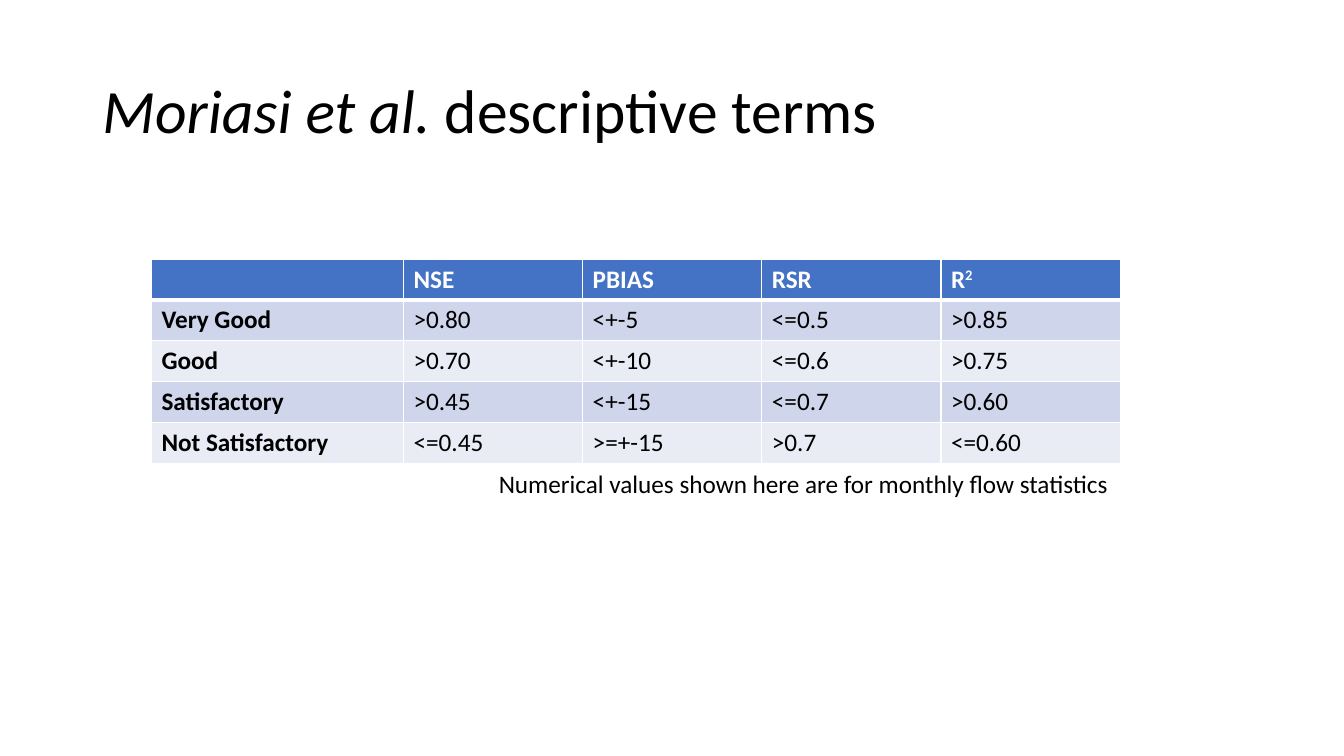
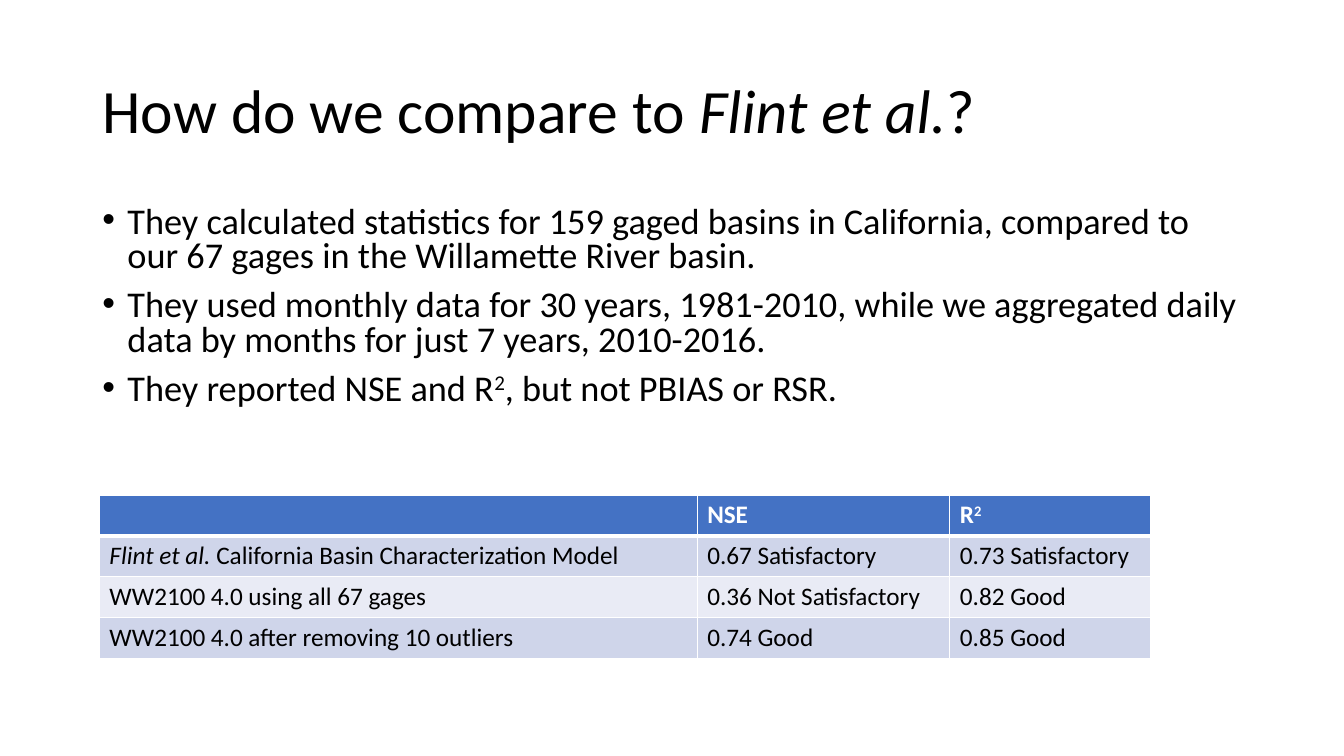
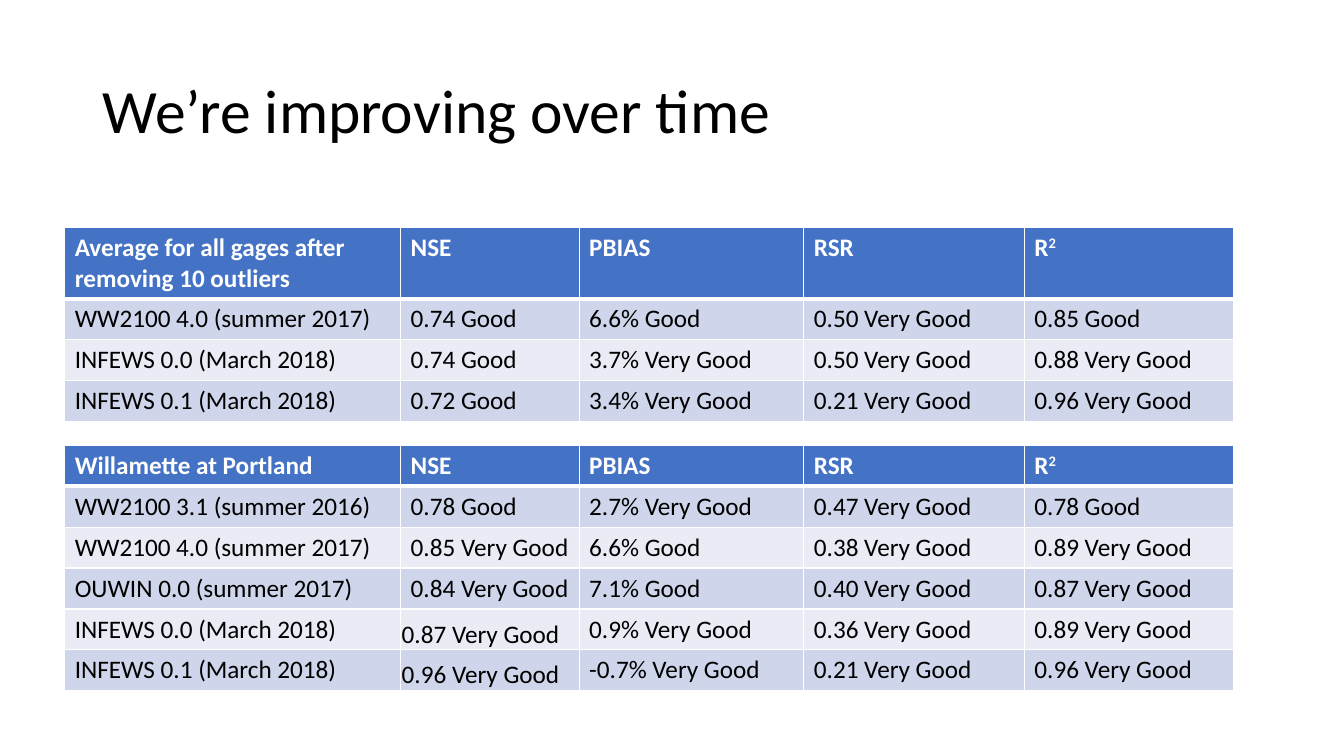
from lxml.etree import SubElement as Sub
from pptx import Presentation
from pptx.dml.color import RGBColor as RGB
from pptx.enum.text import MSO_ANCHOR as Anchor, MSO_AUTO_SIZE as Fit, PP_ALIGN as Align
from pptx.oxml.ns import qn
from pptx.util import Pt

BLACK, WHITE = RGB(0, 0, 0), RGB(255, 255, 255)
BLUE = RGB(0x44, 0x72, 0xC4)
BANDS = [RGB(0xCF, 0xD5, 0xEA), RGB(0xE9, 0xEB, 0xF5)]
FONT = "Calibri"
ROW = 29.2

# Text: a string, or a list of (text, mark); "i" is italic, "sup" is superscript
R2 = [("R", ""), ("2", "sup")]
STATS = ["NSE", "PBIAS", "RSR", R2]
WIDE = [240, 127.5, 160.5, 157.5, 149.5]

SLIDES = [
    {
        "title": [("Moriasi et al. ", "i"), ("descriptive terms", "")],
        "tables": [{
            "at": (108.2, 185), "cols": [180] + [128] * 4, "lead": True,
            "rows": [
                [""] + STATS,
                ["Very Good", ">0.80", "<+-5", "<=0.5", ">0.85"],
                ["Good", ">0.70", "<+-10", "<=0.6", ">0.75"],
                ["Satisfactory", ">0.45", "<+-15", "<=0.7", ">0.60"],
                ["Not Satisfactory", "<=0.45", ">=+-15", ">0.7", "<=0.60"],
            ],
        }],
        "note": "Numerical values shown here are for monthly flow statistics",
    },
    {
        "title": [("How do we compare to ", ""), ("Flint et al.", "i"), ("?", "")],
        "points": [
            "They calculated statistics for 159 gaged basins in California, "
            "compared to our 67 gages in the Willamette River basin.",
            "They used monthly data for 30 years, 1981-2010, while we "
            "aggregated daily data by months for just 7 years, 2010-2016.",
            [("They reported NSE and R", ""), ("2", "sup"),
             (", but not PBIAS or RSR.", "")],
        ],
        "tables": [{
            "at": (71, 353.5), "cols": [427, 180.5, 143.5],
            "rows": [
                ["", "NSE", R2],
                [[("Flint et al. ", "i"),
                  ("California Basin Characterization Model", "")],
                 "0.67 Satisfactory", "0.73 Satisfactory"],
                ["WW2100 4.0 using all 67 gages",
                 "0.36 Not Satisfactory", "0.82 Good"],
                ["WW2100 4.0 after removing 10 outliers",
                 "0.74 Good", "0.85 Good"],
            ],
        }],
    },
    {
        "title": "We’re improving over time",
        "tables": [
            {
                "at": (46.2, 162.3), "cols": WIDE, "head": 51,
                "rows": [
                    ["Average for all gages after removing 10 outliers"] + STATS,
                    ["WW2100 4.0 (summer 2017)", "0.74 Good", "6.6% Good",
                     "0.50 Very Good", "0.85 Good"],
                    ["INFEWS 0.0 (March 2018)", "0.74 Good", "3.7% Very Good",
                     "0.50 Very Good", "0.88 Very Good"],
                    ["INFEWS 0.1 (March 2018)", "0.72 Good", "3.4% Very Good",
                     "0.21 Very Good", "0.96 Very Good"],
                ],
            },
            {
                "at": (46.2, 318.2), "cols": WIDE, "low": {(4, 1), (5, 1)},
                "rows": [
                    ["Willamette at Portland"] + STATS,
                    ["WW2100 3.1 (summer 2016)", "0.78 Good", "2.7% Very Good",
                     "0.47 Very Good", "0.78 Good"],
                    ["WW2100 4.0 (summer 2017)", "0.85 Very Good", "6.6% Good",
                     "0.38 Very Good", "0.89 Very Good"],
                    ["OUWIN 0.0 (summer 2017)", "0.84 Very Good", "7.1% Good",
                     "0.40 Very Good", "0.87 Very Good"],
                    ["INFEWS 0.0 (March 2018)", "0.87 Very Good", "0.9% Very Good",
                     "0.36 Very Good", "0.89 Very Good"],
                    ["INFEWS 0.1 (March 2018)", "0.96 Very Good", "-0.7% Very Good",
                     "0.21 Very Good", "0.96 Very Good"],
                ],
            },
        ],
    },
]


def setall(item, **vals):
    for key, val in vals.items():
        setattr(item, key, val)


def write(para, text, size=18, color=BLACK, bold=False):
    for part, mark in [(text, "")] if isinstance(text, str) else text:
        if not part:
            continue
        run = para.add_run()
        run.text = part
        setall(run.font, name=FONT, size=Pt(size), bold=bold, italic=mark == "i")
        run.font.color.rgb = color
        if mark == "sup":
            run.font._element.set("baseline", "30000")


def place(shape, *box):
    setall(shape, **dict(zip(("left", "top", "width", "height"), map(Pt, box))))


def add_title(slide, text):
    title = slide.shapes.title
    place(title, 66, 28.75, 828, 104.4)
    frame = title.text_frame
    setall(frame, auto_size=Fit.NONE, vertical_anchor=Anchor.MIDDLE, word_wrap=True)
    para = frame.paragraphs[0]
    setall(para, alignment=Align.LEFT, line_spacing=0.9)
    write(para, text, 44)


def add_points(slide, points):
    frame = slide.shapes.add_textbox(Pt(66), Pt(143.75), Pt(828), Pt(158)).text_frame
    frame.word_wrap = True
    for i, text in enumerate(points):
        para = frame.add_paragraph() if i else frame.paragraphs[0]
        setall(para, line_spacing=0.8, space_before=Pt(10))
        props = para._p.get_or_add_pPr()
        props.set("marL", str(Pt(18)))
        props.set("indent", str(Pt(-18)))
        Sub(props, qn("a:buFont"), typeface="Arial")
        Sub(props, qn("a:buChar"), char="•")
        write(para, text, 25.9)


def add_note(slide, text):
    box = slide.shapes.add_textbox(Pt(349.2), Pt(331.2), Pt(450.7), Pt(29))
    box.text_frame.word_wrap = False
    write(box.text_frame.paragraphs[0], text)


def edge(cell, **widths):
    props = cell._tc.get_or_add_tcPr()
    for side, width in widths.items():
        line = Sub(props, qn("a:ln" + side), w=str(Pt(width)))
        Sub(Sub(line, qn("a:solidFill")), qn("a:srgbClr"), val=str(WHITE))


def add_grid(slide, at, cols, rows, head=ROW, lead=False, low=()):
    heights = [head] + [ROW] * (len(rows) - 1)
    size = sum(cols), sum(heights)
    grid = slide.shapes.add_table(len(rows), len(cols), *map(Pt, at + size)).table
    grid.horz_banding = False
    for col, width in zip(grid.columns, cols):
        col.width = Pt(width)
    for r, row in enumerate(rows):
        grid.rows[r].height = Pt(heights[r])
        for c, text in enumerate(row):
            cell = grid.cell(r, c)
            # Thick rule between the header and the body
            edge(cell, L=1, R=1, T=3 if r == 1 else 1, B=1 if r else 3)
            cell.fill.solid()
            cell.fill.fore_color.rgb = BANDS[(r - 1) % 2] if r else BLUE
            if (r, c) in low:
                setall(cell, vertical_anchor=Anchor.BOTTOM, margin_left=Pt(0.75),
                       margin_right=Pt(0.75), margin_top=Pt(0.75), margin_bottom=0)
            write(cell.text_frame.paragraphs[0], text,
                  color=BLACK if r else WHITE, bold=r == 0 or (lead and c == 0))


def main():
    deck = Presentation()
    setall(deck, slide_width=Pt(960), slide_height=Pt(540))
    for data in SLIDES:
        slide = deck.slides.add_slide(deck.slide_layouts[5])
        add_title(slide, data["title"])
        if "points" in data:
            add_points(slide, data["points"])
        for grid in data["tables"]:
            add_grid(slide, **grid)
        if "note" in data:
            add_note(slide, data["note"])
    deck.save("out.pptx")


if __name__ == "__main__":
    main()
